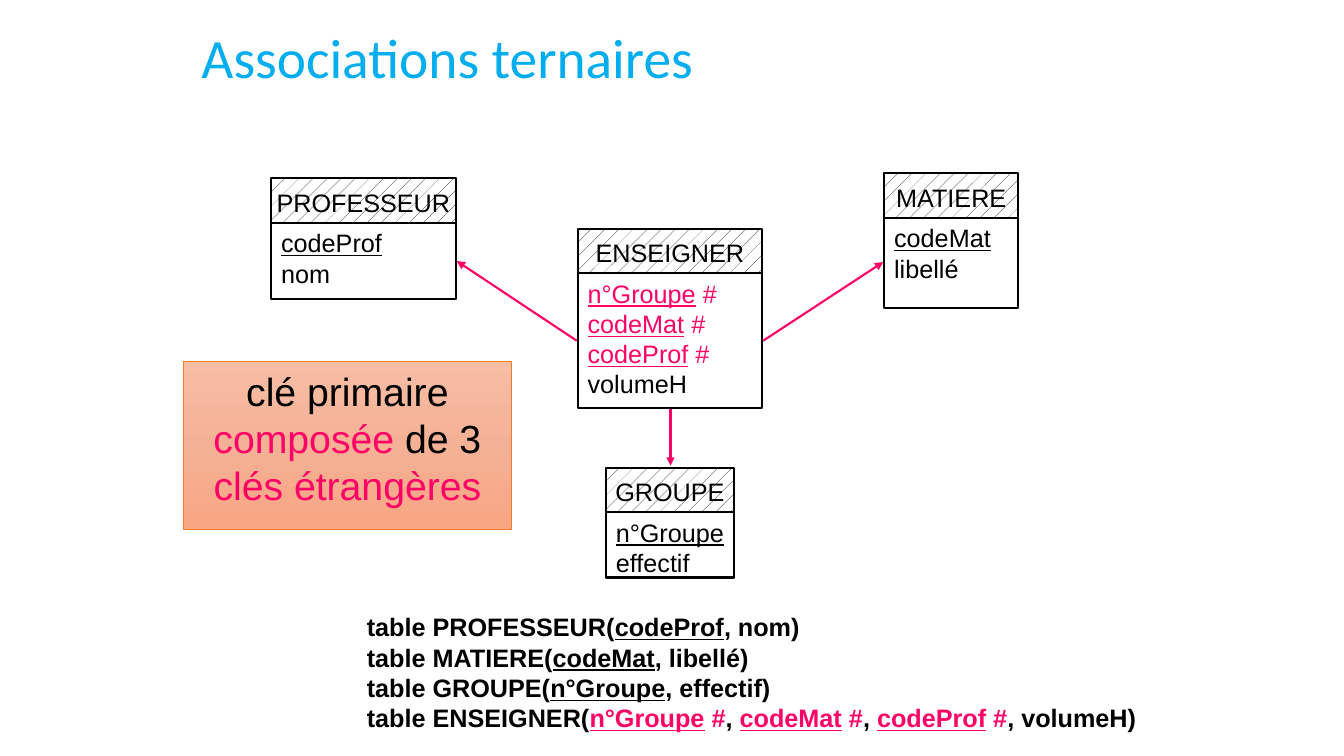
from copy import deepcopy

from pptx import Presentation
from pptx.dml.color import RGBColor
from pptx.enum.dml import MSO_PATTERN
from pptx.enum.shapes import MSO_CONNECTOR as Connector, MSO_SHAPE as Shape
from pptx.enum.text import MSO_ANCHOR as Anchor, PP_ALIGN as Align
from pptx.oxml.ns import qn
from pptx.oxml.xmlchemy import OxmlElement
from pptx.util import Pt

BLACK = RGBColor(0x00, 0x00, 0x00)
WHITE = RGBColor(0xFF, 0xFF, 0xFF)
PINK = RGBColor(0xFF, 0x00, 0x66)
CYAN = RGBColor(0x00, 0xAE, 0xEF)
ORANGE = RGBColor(0xED, 0x7D, 0x31)
PEACH = (RGBColor(0xF7, 0xBD, 0xA5), RGBColor(0xF5, 0xB1, 0x96), RGBColor(0xF8, 0xA5, 0x82))

PX = 9144
HEADER_HEIGHT = 44


class Diagram:
    """Draws relational tables, links and texts on one slide, in px of 1/100 inch."""

    def __init__(self, slide, font="Arial", size=18, line_width=1.5):
        self.shapes = slide.shapes
        self.font = font
        self.size = size
        self.line_width = line_width

    def set_text(self, shape, lines, size=None, font=None, color=BLACK, bold=False,
                 align=Align.LEFT, anchor=Anchor.TOP, spacing=None, wrap=True):
        frame = shape.text_frame
        frame.word_wrap = wrap
        frame.vertical_anchor = anchor
        for index, line in enumerate(lines):
            paragraph = frame.add_paragraph() if index else frame.paragraphs[0]
            paragraph.alignment = align
            paragraph.line_spacing = spacing
            paragraph.font.name = font or self.font
            paragraph.font.size = Pt(size or self.size)
            paragraph.font.bold = bold
            paragraph.font.color.rgb = color
            for text, run_color, underlined in line:
                run = paragraph.add_run()
                run.text = text
                if run_color:
                    run.font.color.rgb = run_color
                if underlined:
                    run.font.underline = True

    def text(self, left, top, width, height, lines, **style):
        box = self.shapes.add_textbox(left * PX, top * PX, width * PX, height * PX)
        self.set_text(box, lines, **style)

    def box(self, left, top, width, height, line_color=BLACK, line_width=None):
        box = self.shapes.add_shape(Shape.RECTANGLE, left * PX, top * PX, width * PX, height * PX)
        box.shadow.inherit = False
        box.line.color.rgb = line_color
        box.line.width = Pt(line_width or self.line_width)
        return box

    def table(self, left, top, width, body_height, title, columns):
        header = self.box(left, top, width, HEADER_HEIGHT)
        header.fill.patterned()
        header.fill.pattern = MSO_PATTERN.PERCENT_5
        header.fill.fore_color.rgb = BLACK
        header.fill.back_color.rgb = WHITE
        self.set_text(header, [[plain(title)]], align=Align.CENTER, anchor=Anchor.MIDDLE,
                      spacing=1.1, wrap=False)
        body = self.box(left, top + HEADER_HEIGHT, width, body_height)
        body.fill.background()
        self.set_text(body, columns, wrap=False)

    def callout(self, left, top, width, height, lines, **style):
        callout = self.box(left, top, width, height, ORANGE, 0.5)
        callout.fill.gradient()
        callout.fill.gradient_angle = 270
        stop_list = callout._element.spPr.find(".//" + qn("a:gsLst"))
        stop_list.insert(1, deepcopy(stop_list[0]))
        for index, stop in enumerate(callout.fill.gradient_stops):
            stop.position = index / 2
            stop.color.rgb = PEACH[index]
        self.set_text(callout, lines, align=Align.CENTER, **style)

    def arrow(self, start, end):
        ends = [value * PX for value in (*start, *end)]
        arrow = self.shapes.add_connector(Connector.STRAIGHT, *ends)
        arrow.line.color.rgb = PINK
        arrow.line.width = Pt(self.line_width)
        head = OxmlElement("a:tailEnd")
        head.set("type", "triangle")
        arrow.line._get_or_add_ln().append(head)
        arrow._element.spPr.append(OxmlElement("a:effectLst"))


def plain(text):
    return text, None, False


def pink(text):
    return text, PINK, False


def primary(text):
    return text, None, True


def foreign(text):
    return [(text, PINK, True), pink(" #")]


def main():
    presentation = Presentation()
    presentation.slide_width = 1333 * PX
    presentation.slide_height = 750 * PX
    diagram = Diagram(presentation.slides.add_slide(presentation.slide_layouts[6]))

    diagram.text(190, 27, 945, 67, [[plain("Associations ternaires")]], size=39.6,
                 font="Calibri", color=CYAN, anchor=Anchor.MIDDLE, spacing=0.9)

    entities = [
        (877, 172, 133, 90, "MATIERE", "codeMat", "libellé"),
        (601, 464, 127, 65, "GROUPE", "n°Groupe", "effectif"),
        (269, 177, 183, 76, "PROFESSEUR", "codeProf", "nom"),
    ]
    for *place, name, key, attribute in entities:
        diagram.table(*place, name, [[primary(key)], [plain(attribute)]])

    foreign_keys = [foreign(key) for key in ("n°Groupe", "codeMat", "codeProf")]
    diagram.table(573, 227, 183, 134, "ENSEIGNER", foreign_keys + [[plain("volumeH")]])

    for start, end in (((757, 338), (876, 260)),
                       ((665, 406), (665, 462)),
                       ((572, 338), (453, 259))):
        diagram.arrow(start, end)

    diagram.callout(182, 359, 325, 166, [[
        plain("clé primaire"), pink(" composée "), plain("de 3"), pink(" clés étrangères"),
    ]], size=28)

    schema = [
        [plain(f"table {name}("), primary(key), plain(f", {attribute})")]
        for name, key, attribute in (
            ("PROFESSEUR", "codeProf", "nom"),
            ("MATIERE", "codeMat", "libellé"),
            ("GROUPE", "n°Groupe", "effectif"),
        )
    ]
    association = [plain("table ENSEIGNER(")]
    for key in foreign_keys:
        association += [*key, plain(", ")]
    association[-1] = plain(", volumeH)")
    diagram.text(354, 602, 875, 132, schema + [association], bold=True)

    presentation.save("out.pptx")


if __name__ == "__main__":
    main()
